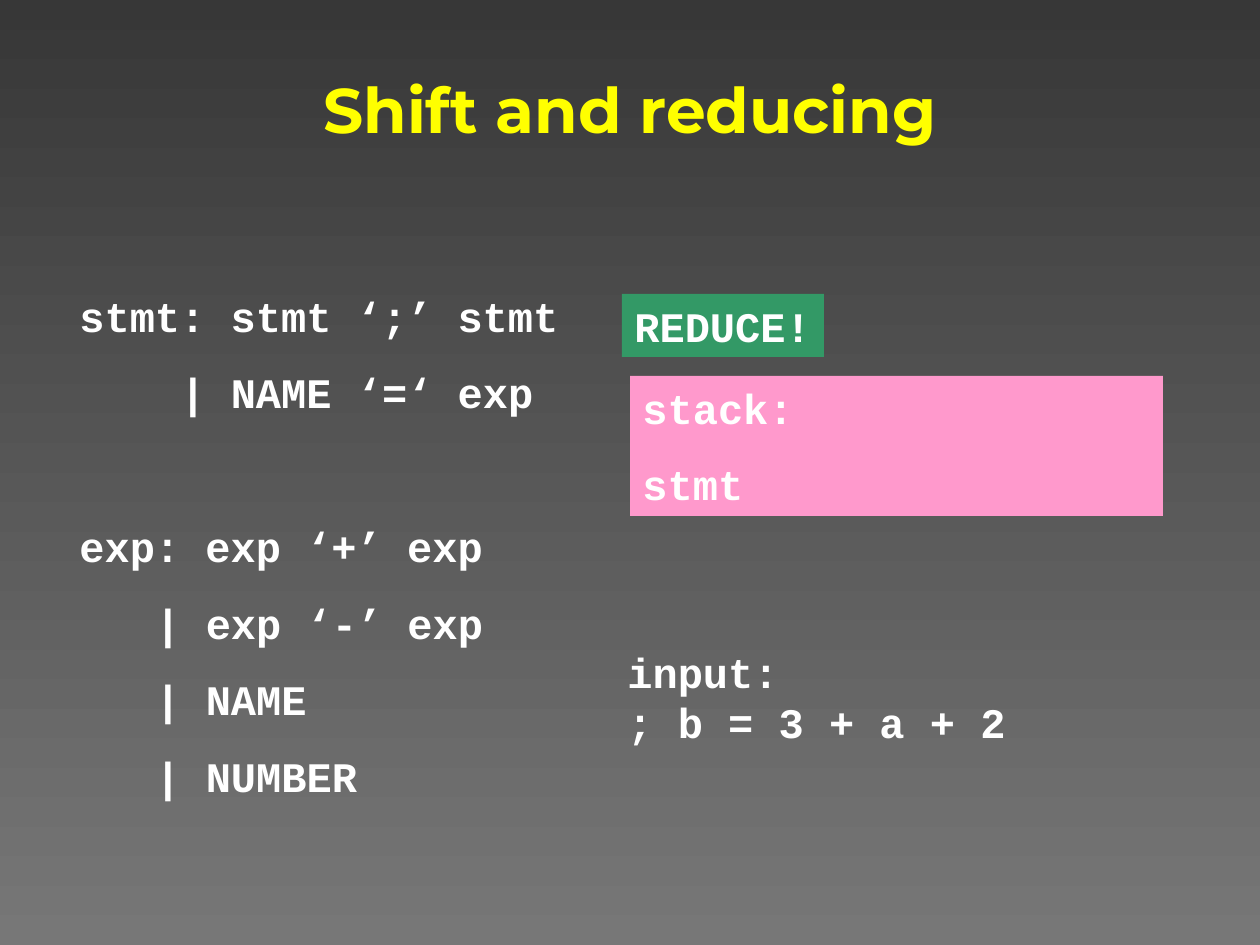
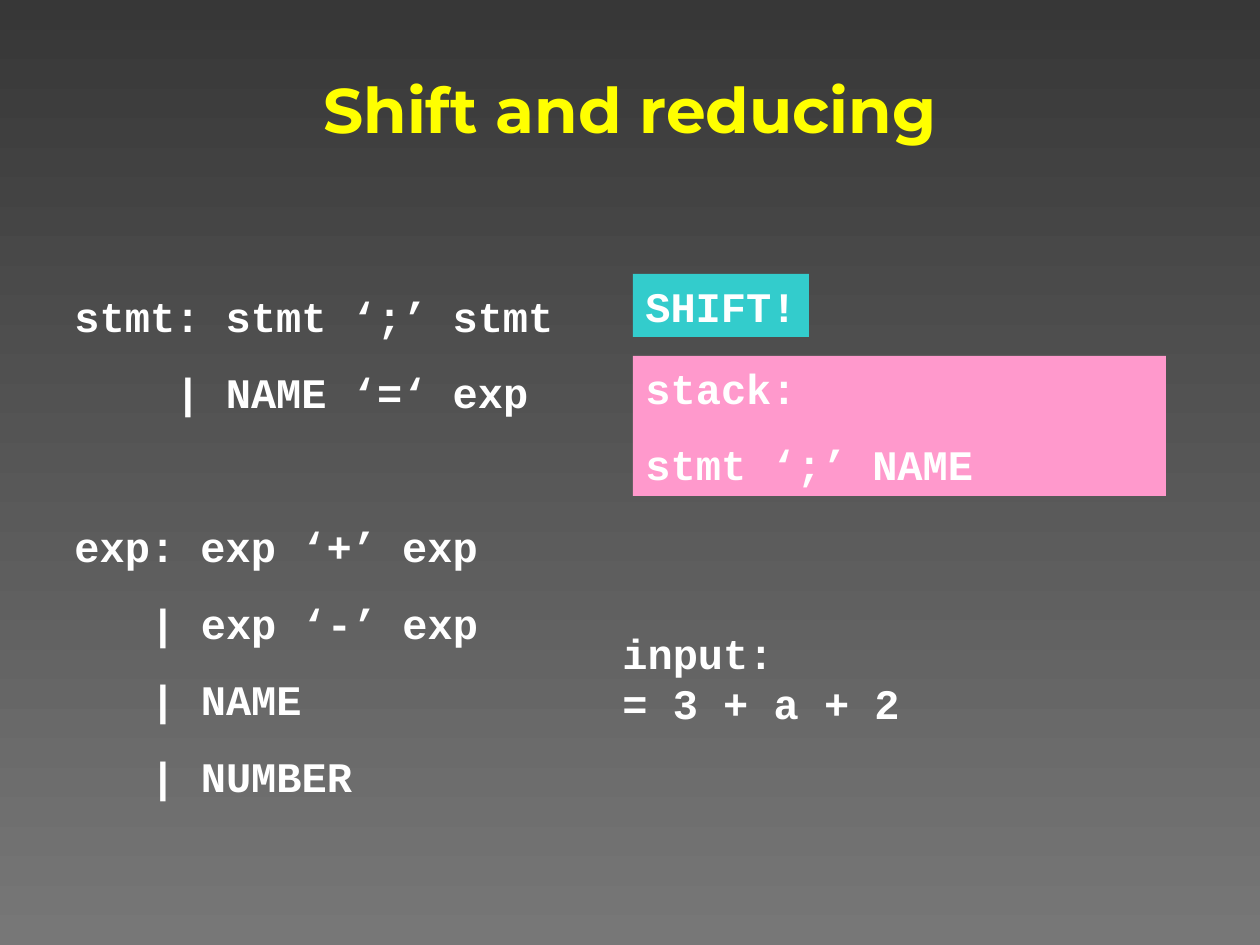
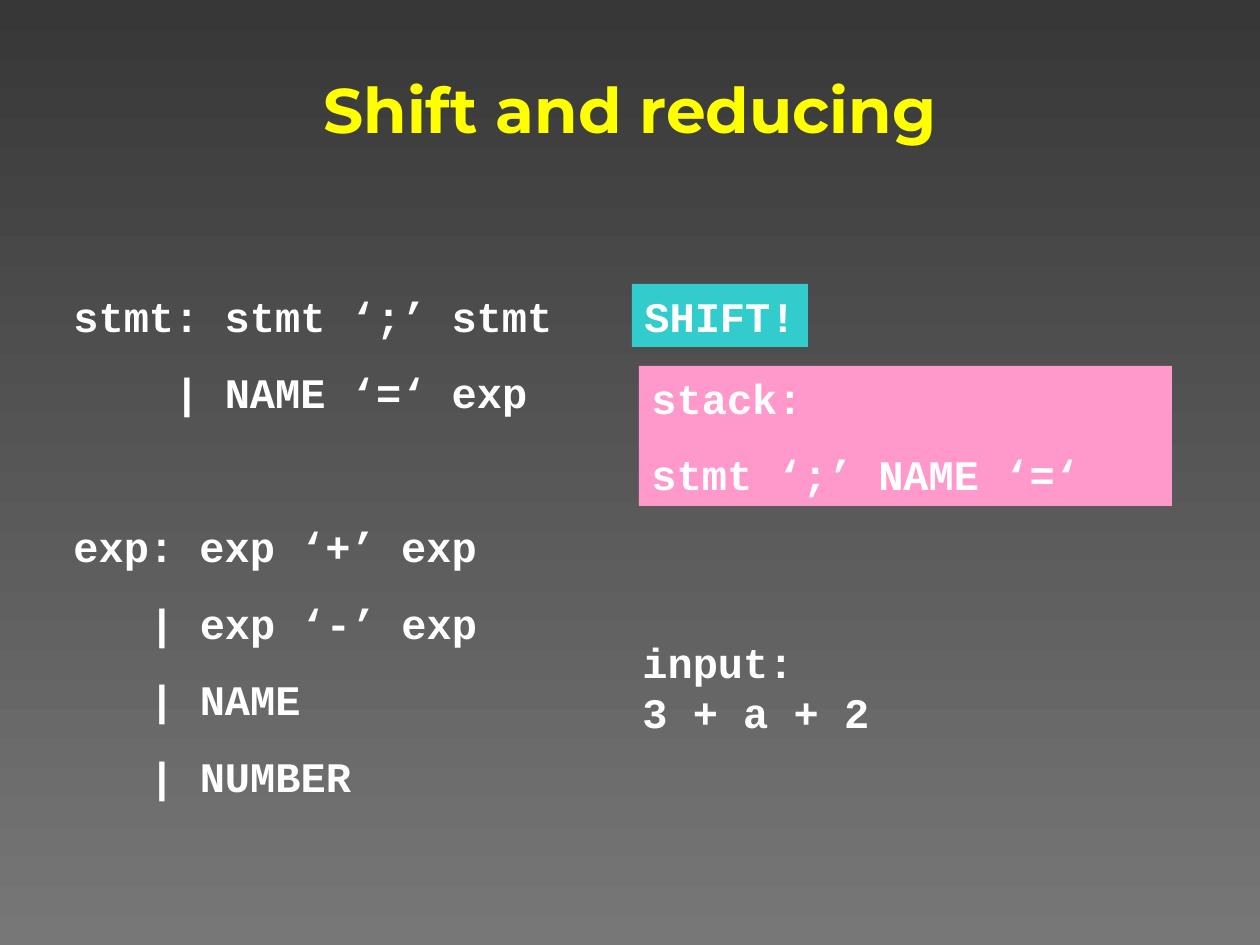
from pptx import Presentation
from pptx import util as u
from pptx.dml.color import RGBColor
from pptx.enum import shapes, text

DARK = RGBColor(0x37, 0x37, 0x37)
GREY = RGBColor(0x77, 0x77, 0x77)
YELLOW = RGBColor(0xFF, 0xFF, 0x00)
WHITE = RGBColor(0xFF, 0xFF, 0xFF)
PINK = RGBColor(0xFF, 0x99, 0xCC)
GREEN = RGBColor(0x33, 0x99, 0x66)
TEAL = RGBColor(0x33, 0xCC, 0xCC)

# Grammar lines: text, indent in px, space before in points
GRAMMAR = [
    ("stmt: stmt ‘;’ stmt", 0, 15),
    ("| NAME ‘=‘ exp", 101, 15),
    ("exp: exp ‘+’ exp", 0, 59),
    ("| exp ‘-’ exp", 76, 15),
    ("| NAME", 76, 15),
    ("| NUMBER", 76, 15),
]

# Per slide: action, its colour, stack, input, then the places in px:
# grammar (left, width), input (left, top, width), stack (left, top),
# action (left, top, width)
STEPS = [
    ("REDUCE!", GREEN, "stmt", "; b = 3 + a + 2",
     (67, 507), (615, 640, 403), (630, 376), (622, 294, 202)),
    ("SHIFT!", TEAL, "stmt ‘;’ NAME", "= 3 + a + 2",
     (62, 513), (610, 621, 302), (633, 356), (633, 274, 176)),
    ("SHIFT!", TEAL, "stmt ‘;’ NAME ‘=‘", "3 + a + 2",
     (61, 514), (630, 630, 252), (639, 366), (632, 284, 176)),
]


def px(*sizes):
    return [u.Emu(round(size * 914400 / 126)) for size in sizes]


def code(slide, box, lines, fill=None, wrap=True):
    """Add a box of code; each line is (text, indent, space before)."""
    if fill is None:
        shape = slide.shapes.add_textbox(*px(*box))
    else:
        shape = slide.shapes.add_shape(shapes.MSO_SHAPE.RECTANGLE, *px(*box))
        shape.shadow.inherit = False
        shape.fill.solid()
        shape.fill.fore_color.rgb = fill
        shape.line.fill.background()
    frame = shape.text_frame
    frame.word_wrap = wrap
    frame.auto_size = text.MSO_AUTO_SIZE.SHAPE_TO_FIT_TEXT
    frame.vertical_anchor = text.MSO_ANCHOR.TOP
    for i, (words, indent, before) in enumerate(lines):
        para = frame.add_paragraph() if i else frame.paragraphs[0]
        para.alignment = text.PP_ALIGN.LEFT
        para.space_before = u.Pt(before)
        if indent:
            para._p.get_or_add_pPr().set("marL", str(px(indent)[0]))
        run = para.add_run()
        run.text = words
        run.font.name = "Courier New"
        run.font.size = u.Pt(24)
        run.font.bold = True
        run.font.color.rgb = WHITE


deck = Presentation()
deck.slide_width, deck.slide_height = px(1260, 945)
back = deck.slide_master.background.fill
back.gradient()
back.gradient_angle = 270
for stop, shade in zip(back.gradient_stops, (DARK, GREY)):
    stop.color.rgb = shade
layout = deck.slide_layouts[5]

for action, hue, stack, feed, rules, entry, pile, badge in STEPS:
    slide = deck.slides.add_slide(layout)
    title = slide.shapes.title
    title.left, title.top, title.width, title.height = px(37, 45, 1186, 126)
    title.text_frame.vertical_anchor = text.MSO_ANCHOR.MIDDLE
    para = title.text_frame.paragraphs[0]
    para.alignment = text.PP_ALIGN.CENTER
    run = para.add_run()
    run.text = "Shift and reducing"
    run.font.name = "Montserrat"
    run.font.size = u.Pt(36)
    run.font.bold = True
    run.font.color.rgb = YELLOW

    left, width = rules
    code(slide, (left, 284, width, 523), GRAMMAR)
    code(slide, (*entry, 113), [("input:", 0, 0), (feed, 0, 0)], wrap=False)
    code(slide, (*pile, 533, 140), [("stack:", 0, 15), (stack, 0, 15)], PINK)
    code(slide, (*badge, 63), [(action, 0, 0)], hue, wrap=False)

deck.save("out.pptx")
